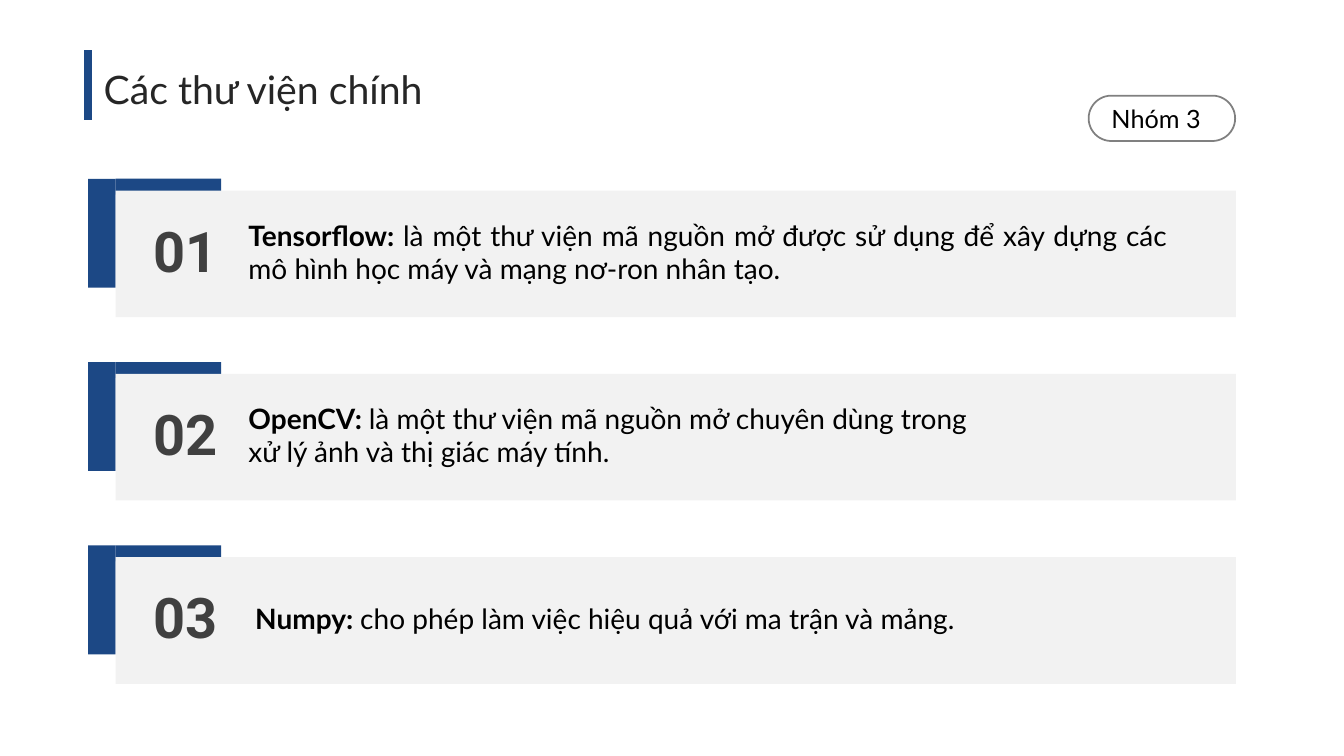
import pptx
import pptx.util
import pptx.dml.color
import pptx.enum.shapes
import pptx.enum.text
import pptx.oxml.ns
import lxml.etree

RGB = pptx.dml.color.RGBColor
SHAPE = pptx.enum.shapes.MSO_SHAPE
ALIGN = pptx.enum.text.PP_ALIGN
ANCHOR = pptx.enum.text.MSO_ANCHOR
Pt = pptx.util.Pt

BLUE = RGB(0x1C, 0x48, 0x85)
PALE = RGB(0xF2, 0xF2, 0xF2)
INK = RGB(0x26, 0x26, 0x26)
DARK = RGB(0x40, 0x40, 0x40)
GRAY = RGB(0x80, 0x80, 0x80)
BLACK = RGB(0, 0, 0)

# The slide is a grid of 100 columns by 100 rows.
WIDE, HIGH = 13.33, 7.5
PITCH = 24.25

HEAD = {"name": "Lato", "size": Pt(28)}
DIGIT = {"name": "Roboto", "size": Pt(40), "bold": True}
BODY = {"name": "Lato", "size": Pt(20)}
TAG = {"name": "Lato", "size": Pt(18)}

ITEMS = [
    ("Tensorflow: ", ["là một thư viện mã nguồn mở được sử dụng để xây dựng "
                      "các mô hình học máy và mạng nơ-ron nhân tạo."], 0),
    ("OpenCV: ", ["là một thư viện mã nguồn mở chuyên dùng trong",
                  "xử lý ảnh và thị giác máy tính."], 0),
    ("Numpy: ", ["cho phép làm việc hiệu quả với ma trận và mảng."], 0.5),
]


def col(n):
    return pptx.util.Inches(n * WIDE / 100)


def row(n):
    return pptx.util.Inches(n * HIGH / 100)


def place(box):
    """Turn grid units into left, top, width and height."""
    x, y, w, h = box
    return col(x), row(y), col(w), row(h)


def write(para, text, style, color):
    run = para.add_run()
    run.text = text
    for key, value in style.items():
        setattr(run.font, key, value)
    run.font.color.rgb = color


def block(slide, box, color):
    shape = slide.shapes.add_shape(SHAPE.RECTANGLE, *place(box))
    shape.shadow.inherit = False
    shape.fill.solid()
    shape.fill.fore_color.rgb = color
    shape.line.fill.background()


def label(slide, box, anchor=ANCHOR.TOP):
    """Add an empty wrapping text box and return its frame."""
    frame = slide.shapes.add_textbox(*place(box)).text_frame
    frame.word_wrap = True
    frame.vertical_anchor = anchor
    return frame


def title(slide, box, text):
    x, y, w, h = box
    rule = slide.shapes.add_connector(
        pptx.enum.shapes.MSO_CONNECTOR.STRAIGHT,
        col(x), row(y), col(x), row(y + h))
    rule.line.color.rgb = BLUE
    rule.line.width = Pt(6)
    lxml.etree.SubElement(rule._element.spPr,
                          pptx.oxml.ns.qn("a:effectLst"))
    frame = label(slide, (x + 0.43, y + 1.33, w, h - 1.6))
    write(frame.paragraphs[0], text, HEAD, INK)


def badge(slide, box, text):
    pill = slide.shapes.add_shape(SHAPE.ROUNDED_RECTANGLE, *place(box))
    pill.adjustments[0] = 0.5
    pill.shadow.inherit = False
    pill.fill.background()
    pill.line.color.rgb = GRAY
    pill.line.width = Pt(1.25)
    frame = pill.text_frame
    frame.margin_right = col(1.6)
    frame.vertical_anchor = ANCHOR.MIDDLE
    para = frame.paragraphs[0]
    para.alignment = ALIGN.CENTER
    write(para, text, TAG, BLACK)


def card(slide, box, digit, item):
    """Draw one numbered library with its blue corner and pale panel."""
    x, y, w, h = box
    name, lines, shift = item
    stem, drop = 2.05, 1.55
    block(slide, (x, y, stem, 14.4), BLUE)
    block(slide, (x + stem, y, 7.85, 2.1), BLUE)
    block(slide, (x + stem, y + drop, w - stem, h - drop), PALE)
    frame = label(slide, (x + 4.1, y + 4.3, 7.05, 10.25))
    write(frame.paragraphs[0], digit, DIGIT, DARK)
    frame = label(slide, (x + 11.2 + shift, y + 4.5, 69.85, 10.25),
                  ANCHOR.MIDDLE)
    for i, line in enumerate(lines):
        para = frame.add_paragraph() if i else frame.paragraphs[0]
        para.alignment = ALIGN.JUSTIFY
        if i == 0:
            write(para, name, {**BODY, "bold": True}, BLACK)
        write(para, line, BODY, BLACK)


def main():
    deck = pptx.Presentation()
    deck.slide_width, deck.slide_height = col(100), row(100)
    slide = deck.slides.add_slide(deck.slide_layouts[6])
    title(slide, (6.55, 6.67, 39.45, 9.2), "Các thư viện chính")
    for i, item in enumerate(ITEMS):
        card(slide, (6.55, 23.65 + i * PITCH, 85.4, 18.3),
             f"{i + 1:02}", item)
    badge(slide, (81, 12.65, 10.9, 6), "Nhóm 3")
    deck.save("out.pptx")


if __name__ == "__main__":
    main()
